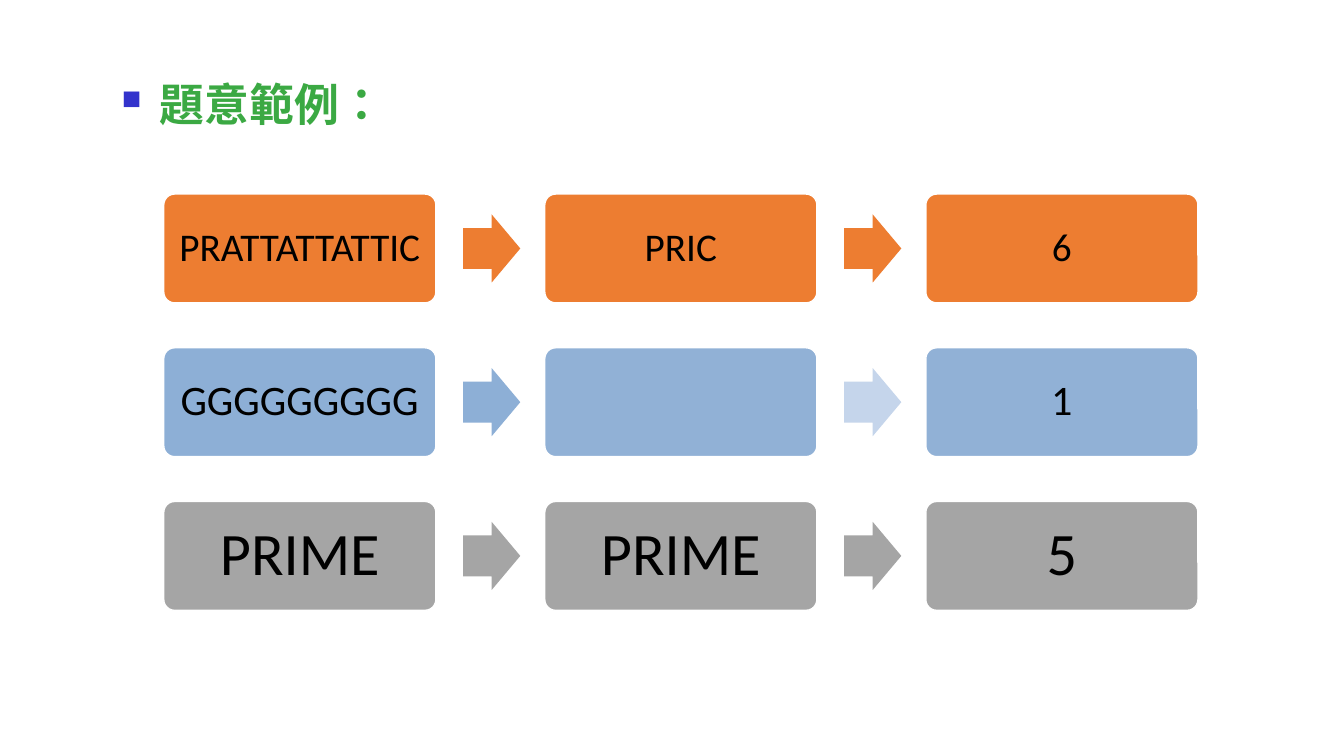
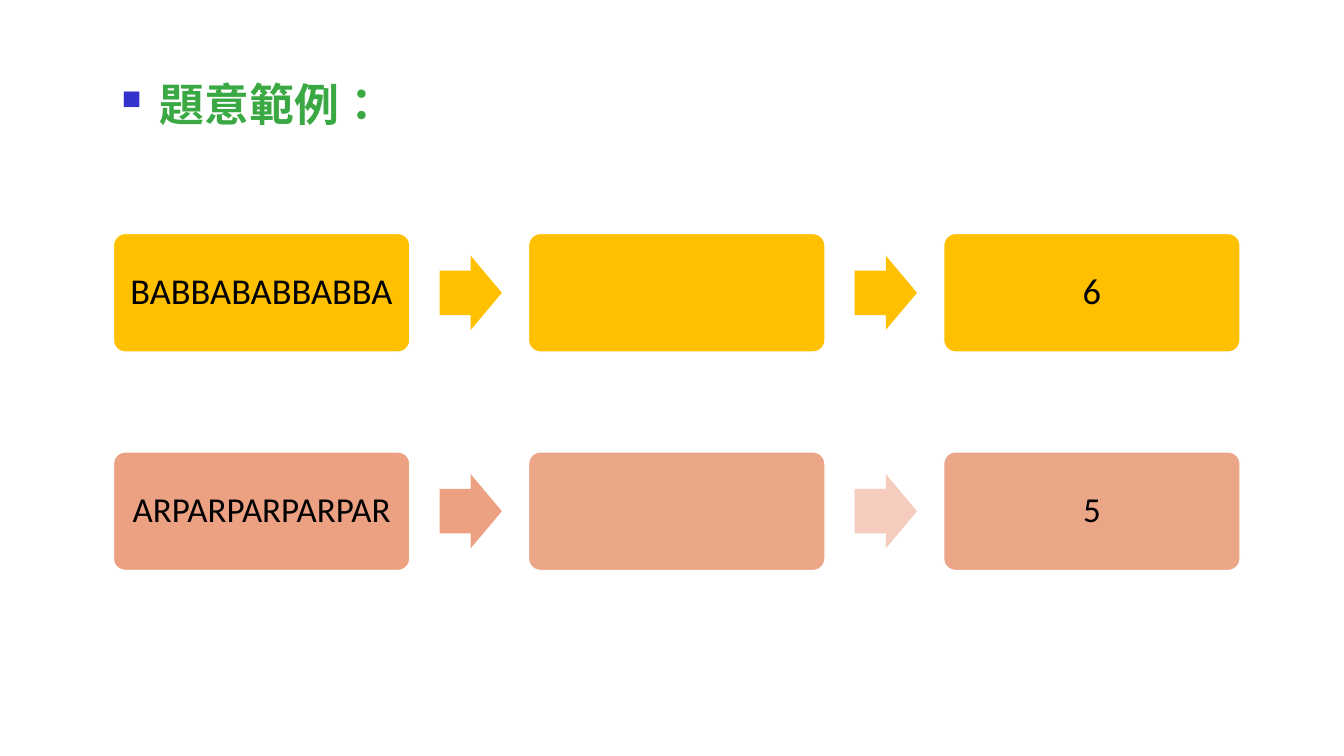
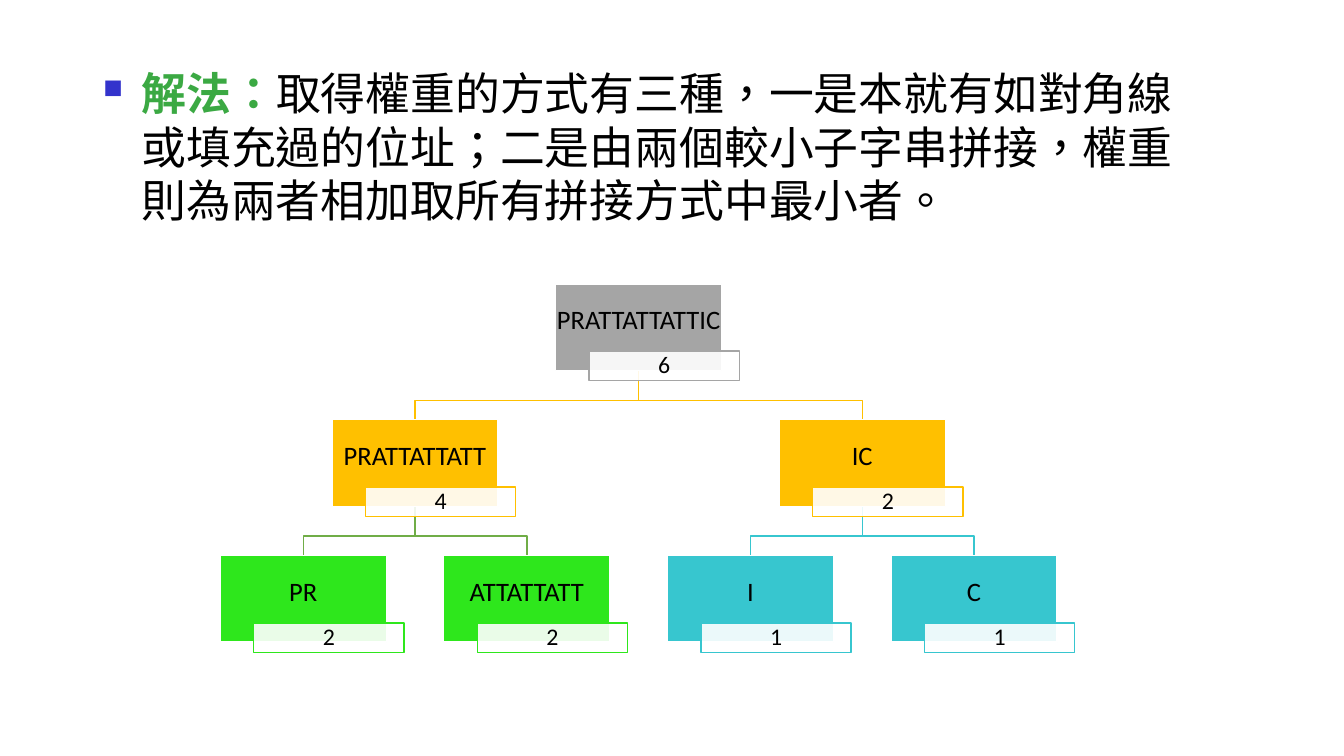
from lxml import etree
from pptx import Presentation
from pptx.dml.color import RGBColor
from pptx.enum.lang import MSO_LANGUAGE_ID as Language
from pptx.enum.shapes import MSO_SHAPE as Shape
from pptx.enum.text import MSO_ANCHOR as Anchor, PP_ALIGN as Align
from pptx.oxml.ns import qn
from pptx.util import Inches, Pt

COLORS = {
    "white": "FFFFFF", "black": "000000", "heading": "3BA943", "bullet": "3333CC",
    "orange": "ED7D31", "gray": "A5A5A5", "gold": "FFC000",
    "blue": "8DAFD6", "soft_blue": "91B1D6", "pale_blue": "C5D5EB",
    "salmon": "ECA182", "soft_salmon": "EBA587", "pale_salmon": "F6CCBF",
    "green": "2EE71C", "leaf_line": "70AD47", "teal": "37C6CF",
}
# The slide is a grid of 160 columns by 90 rows of square cells
CELL = Inches(13.33) / 160


def cells(count):
    return round(count * CELL)


def rgb(name):
    return RGBColor.from_string(COLORS[name])


def write(paragraph, text, size=32, font="Times New Roman", color="black", bold=False):
    """Add one run of formatted text to a paragraph."""
    run = paragraph.add_run()
    run.text = text
    run.font.size = Pt(size)
    run.font.name = font
    run.font.bold = bold
    run.font.color.rgb = rgb(color)
    run.font.language_id = Language.TRADITIONAL_CHINESE


class Deck:
    """Holds the style and the current slide."""

    label_font = "Calibri"
    node_width, node_height = 19.8, 10.3
    leaf_pitch, level_pitch = 26.62, 16.18
    elbow_drop = 3.55

    def __init__(self):
        self.presentation = Presentation()
        self.presentation.slide_width = cells(160)
        self.presentation.slide_height = cells(90)
        self.slide = None

    def new_slide(self):
        self.slide = self.presentation.slides.add_slide(self.presentation.slide_layouts[6])

    def heading(self, left, top, width, height, title, body=""):
        """Bulleted statement with a coloured lead-in."""
        frame = self.slide.shapes.add_textbox(*map(cells, (left, top, width, height))).text_frame
        frame.word_wrap = True
        paragraph = frame.paragraphs[0]
        properties = paragraph._p.get_or_add_pPr()
        properties.set("marL", str(Inches(0.38)))
        properties.set("indent", str(-Inches(0.38)))
        bullet_color = etree.SubElement(properties, qn("a:buClr"))
        etree.SubElement(bullet_color, qn("a:srgbClr"), val=COLORS["bullet"])
        etree.SubElement(properties, qn("a:buSzPct"), val="60000")
        etree.SubElement(properties, qn("a:buChar"), char="■")
        write(paragraph, title, color="heading", bold=True)
        if body:
            write(paragraph, body)

    def shape(self, kind, left, top, width, height, fill, line=None, adjust=(), alpha=None):
        shape = self.slide.shapes.add_shape(kind, *map(cells, (left, top, width, height)))
        shape.shadow.inherit = False
        for index, value in enumerate(adjust):
            shape.adjustments[index] = value
        shape.fill.solid()
        shape.fill.fore_color.rgb = rgb(fill)
        if alpha is not None:
            color = shape.fill._xPr.find(".//" + qn("a:srgbClr"))
            etree.SubElement(color, qn("a:alpha"), val=str(alpha * 1000))
        if line:
            shape.line.color.rgb = rgb(line)
            shape.line.width = Pt(1)
        else:
            shape.line.fill.background()
        return shape

    def label(self, shape, text, size, bottom=0):
        """Centred label inside a shape."""
        if not text:
            return
        frame = shape.text_frame
        frame.word_wrap = True
        frame.vertical_anchor = Anchor.MIDDLE
        frame.margin_left = frame.margin_right = frame.margin_top = 0
        frame.margin_bottom = cells(bottom)
        paragraph = frame.paragraphs[0]
        paragraph.alignment = Align.CENTER
        paragraph.line_spacing = 0.9
        write(paragraph, text, size=size, font=self.label_font)

    def flow(self, left, top, width, texts, size, box_colors, arrow_colors):
        """Row of boxes joined by arrows; every length follows the box width."""
        height, pitch = 0.4 * width, 1.4 * width
        arrow_width, arrow_height = 0.21 * width, 0.25 * width
        for column, (text, color) in enumerate(zip(texts, box_colors)):
            box = self.shape(Shape.ROUNDED_RECTANGLE, left + column * pitch, top, width, height,
                             color, line="white", adjust=(0.1,))
            self.label(box, text, size)
        for column, color in enumerate(arrow_colors):
            self.shape(Shape.RIGHT_ARROW, left + column * pitch + 1.1 * width,
                       top + (height - arrow_height) / 2, arrow_width, arrow_height,
                       color, adjust=(0.6, 0.5))

    def branch(self, start, end, color):
        """Elbow line from the foot of a parent to the head of a child."""
        (x1, y1), (x2, y2) = start, end
        bend = y1 + self.elbow_drop
        builder = self.slide.shapes.build_freeform(cells(x1), cells(y1))
        corners = [(x1, bend), (x2, bend), (x2, y2)]
        builder.add_line_segments([(cells(x), cells(y)) for x, y in corners], close=False)
        line = builder.convert_to_shape()
        line.shadow.inherit = False
        line.fill.background()
        line.line.color.rgb = rgb(color)
        line.line.width = Pt(1)

    def node(self, left, top, text, weight, color):
        box = self.shape(Shape.RECTANGLE, left, top, self.node_width, self.node_height,
                         color, line="white")
        self.label(box, text, 19, bottom=1.4)
        badge = self.shape(Shape.RECTANGLE, left + 4, top + 8, 17.9, 3.5,
                           "white", line=color, alpha=90)
        self.label(badge, weight, 17)

    def tree(self, left, top, levels, branch_colors):
        """Full binary tree; each parent is centred over its two children."""
        def place(level, index):
            span = 2 ** (len(levels) - 1 - level)
            column = (index + 0.5) * span - 0.5
            return left + column * self.leaf_pitch, top + level * self.level_pitch

        for level, colors in enumerate(branch_colors):
            for index, color in enumerate(colors):
                x, y = place(level, index)
                start = x + self.node_width / 2, y + self.node_height
                for child in (2 * index, 2 * index + 1):
                    child_x, child_y = place(level + 1, child)
                    self.branch(start, (child_x + self.node_width / 2, child_y), color)
        for level, nodes in enumerate(levels):
            for index, (text, weight, color) in enumerate(nodes):
                self.node(*place(level, index), text, weight, color)


BLUES = ["blue", "soft_blue", "soft_blue"], ["blue", "pale_blue"]
SALMONS = ["salmon", "soft_salmon", "soft_salmon"], ["salmon", "pale_salmon"]


def plain(color):
    return [color] * 3, [color] * 2


# Each example slide: left, top, box width, row pitch, rows
EXAMPLES = [
    (19.5, 23.1, 32.4, 18.3, [
        (["PRATTATTATTIC", "PRIC", "6"], 28, plain("orange")),
        (["GGGGGGGGG", "", "1"], 30, BLUES),
        (["PRIME", "PRIME", "5"], 43, plain("gray")),
    ]),
    (13.5, 27.8, 35.3, 26, [
        (["BABBABABBABBA", "", "6"], 26, plain("gold")),
        (["ARPARPARPARPAR", "", "5"], 25, SALMONS),
    ]),
]
TREE_LEVELS = [
    [("PRATTATTATTIC", "6", "gray")],
    [("PRATTATTATT", "4", "gold"), ("IC", "2", "gold")],
    [("PR", "2", "green"), ("ATTATTATT", "2", "green"), ("I", "1", "teal"), ("C", "1", "teal")],
]


def main():
    deck = Deck()

    # Example slides
    for left, top, width, pitch, rows in EXAMPLES:
        deck.new_slide()
        deck.heading(13.3, 8.5, 34, 7.7, "題意範例：")
        for row, (texts, size, (boxes, arrows)) in enumerate(rows):
            deck.flow(left, top + row * pitch, width, texts, size, boxes, arrows)

    # Solution slide
    deck.new_slide()
    deck.heading(11.1, 7.2, 131.7, 20.6, "解法：",
                 "取得權重的方式有三種，一是本就有如對角線或填充過的位址；"
                 "二是由兩個較小子字串拼接，權重則為兩者相加取所有拼接方式中最小者。")
    deck.tree(26.2, 33.8, TREE_LEVELS, [["gold"], ["leaf_line", "teal"]])

    deck.presentation.save("out.pptx")


if __name__ == "__main__":
    main()
